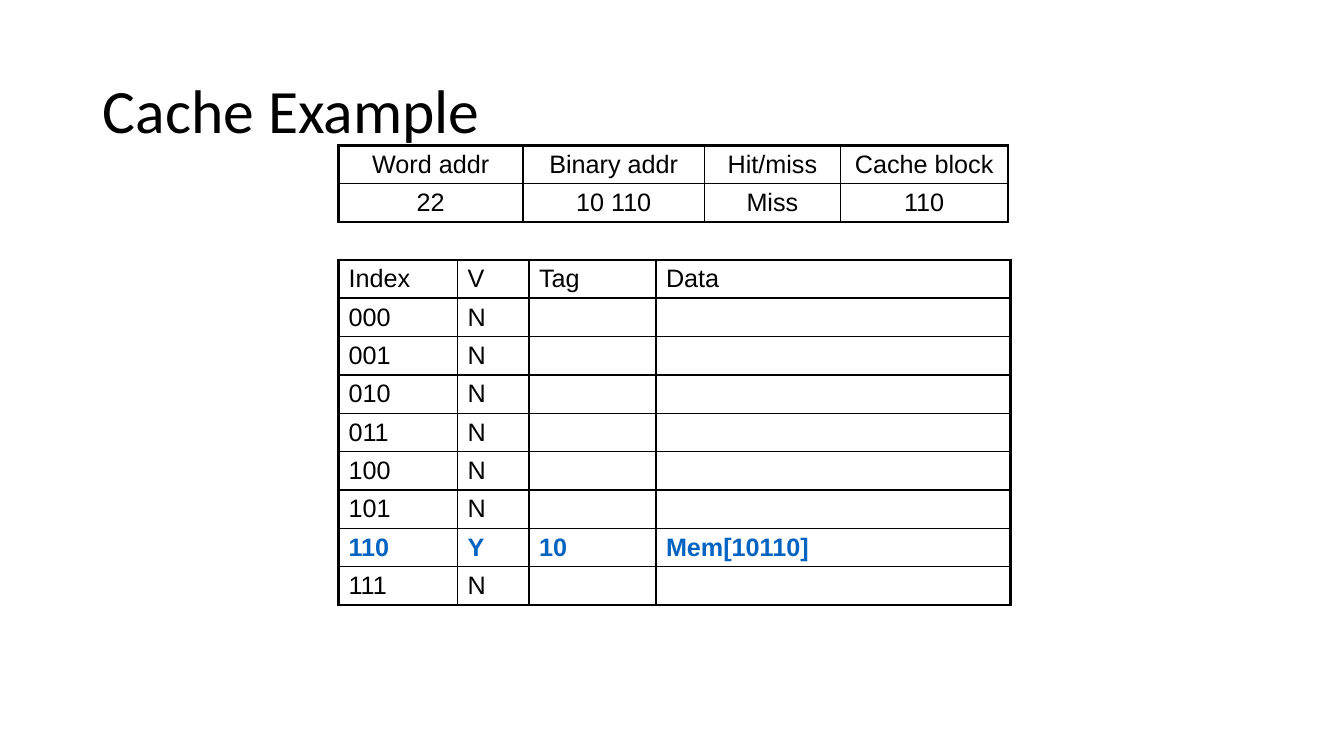
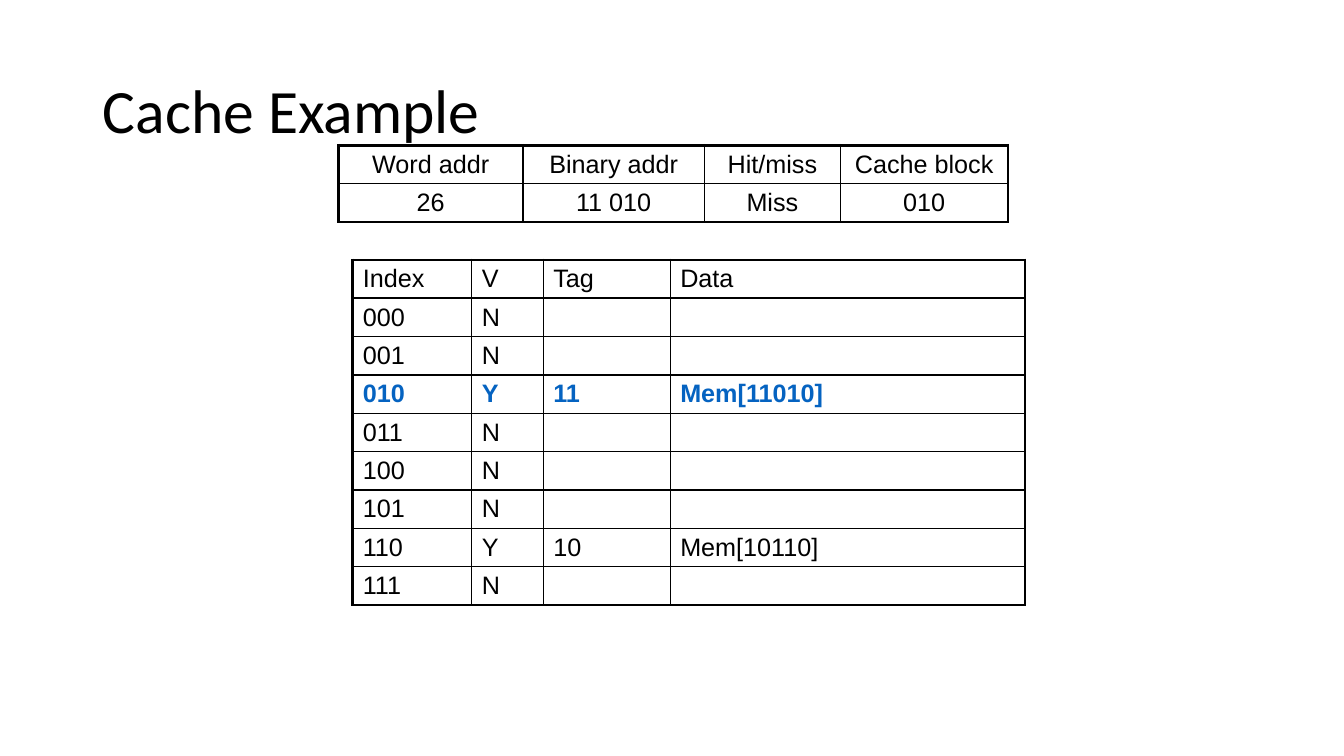
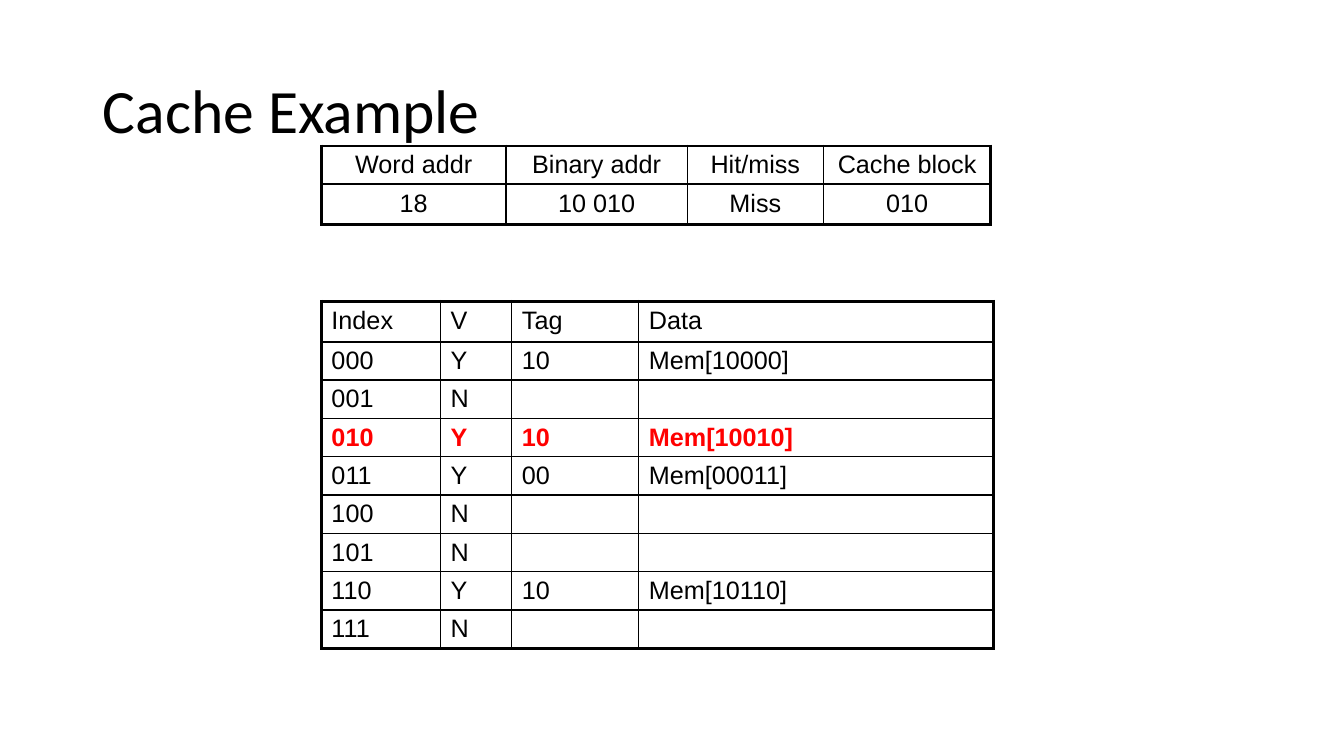
"""Three steps of a direct-mapped cache example."""
from dataclasses import dataclass

from lxml import etree
from pptx import Presentation
from pptx import util as u
from pptx.dml.color import RGBColor
from pptx.enum import text
from pptx.oxml import ns

BLACK = RGBColor(0x00, 0x00, 0x00)
BLUE = RGBColor(0x05, 0x63, 0xC1)
RED = RGBColor(0xFF, 0x00, 0x00)
TITLE_FONT, TABLE_FONT = "Calibri", "Arial"

OUTER, HEADER, INNER = u.Pt(2.25), u.Pt(1.5), u.Pt(1)
ROW_HEIGHT = 0.96
INDEX_BITS = 3
TAG_BITS = 2
ACCESS_HEADINGS = ["Word addr", "Binary addr", "Hit/miss", "Cache block"]
ACCESS_WIDTHS = [4.65, 4.57, 3.43, 4.22]
CACHE_HEADINGS = ["Index", "V", "Tag", "Data"]
CACHE_WIDTHS = [3.0, 1.8, 3.2, 8.94]


@dataclass(frozen=True)
class Grid:
    """A ruled table; lengths are in centimetres."""
    left: float
    top: float
    widths: list[float]
    heights: list[float]
    rows: list[list[str]]
    align: text.PP_ALIGN
    marked_row: int | None = None
    mark: RGBColor = BLACK


@dataclass(frozen=True)
class Step:
    """One memory access (a miss), the blocks then cached, and the layout."""
    address: str
    cached: list[str]
    mark: RGBColor
    access_at: tuple[float, float]
    cache_at: tuple[float, float]
    access_heights: tuple[float, float] = (ROW_HEIGHT, ROW_HEIGHT)
    cache_header_height: float = ROW_HEIGHT


STEPS = [
    Step("10110", ["10110"], BLUE, (8.53, 3.66), (8.53, 6.55)),
    Step("11010", ["11010", "10110"], BLUE, (8.53, 3.66), (8.89, 6.55)),
    Step("10010", ["10000", "10010", "00011", "10110"], RED,
         (8.1, 3.68), (8.1, 7.59), (ROW_HEIGHT, 1.02), 1.02),
]


def add_title(slide, title: str) -> None:
    """Place and format the title placeholder."""
    shape = slide.shapes.title
    shape.left, shape.top = u.Cm(2.34), u.Cm(1.02)
    shape.width, shape.height = u.Cm(29.21), u.Cm(3.68)
    frame = shape.text_frame
    frame.text = title
    frame.vertical_anchor = text.MSO_ANCHOR.MIDDLE
    paragraph = frame.paragraphs[0]
    paragraph.alignment = text.PP_ALIGN.LEFT
    paragraph.line_spacing = 0.9
    set_font(paragraph, TITLE_FONT, 44, BLACK)


def set_font(paragraph, name: str, size: float, color: RGBColor, bold: bool = False) -> None:
    """Format all the text of a paragraph."""
    font = paragraph.font
    font.name, font.size, font.bold = name, u.Pt(size), bold
    font.color.rgb = color


def set_borders(cell, left: int, right: int, top: int, bottom: int) -> None:
    """Rule the four sides of a cell in black."""
    properties = cell._tc.get_or_add_tcPr()
    for side, width in zip("LRTB", (left, right, top, bottom)):
        line = etree.SubElement(properties, ns.qn(f"a:ln{side}"), w=str(int(width)))
        fill = etree.SubElement(line, ns.qn("a:solidFill"))
        etree.SubElement(fill, ns.qn("a:srgbClr"), val=str(BLACK))


def add_grid(slide, grid: Grid) -> None:
    """Draw a table with a thick frame and a ruled-off heading row."""
    row_count, column_count = len(grid.rows), len(grid.widths)
    table = slide.shapes.add_table(
        row_count, column_count, u.Cm(grid.left), u.Cm(grid.top),
        u.Cm(sum(grid.widths)), u.Cm(sum(grid.heights))).table
    table.first_row = table.horz_banding = False
    for column, width in zip(table.columns, grid.widths):
        column.width = u.Cm(width)
    for row, height in zip(table.rows, grid.heights):
        row.height = u.Cm(height)

    row_rules = [OUTER, HEADER] + [INNER] * (row_count - 2) + [OUTER]
    column_rules = [OUTER] + [INNER] * (column_count - 1) + [OUTER]
    for i, values in enumerate(grid.rows):
        marked = i == grid.marked_row
        for j, value in enumerate(values):
            cell = table.cell(i, j)
            set_borders(cell, *column_rules[j:j + 2], *row_rules[i:i + 2])
            cell.fill.background()
            cell.text = value
            paragraph = cell.text_frame.paragraphs[0]
            paragraph.alignment = grid.align
            set_font(paragraph, TABLE_FONT, 18, grid.mark if marked else BLACK, marked)


def cache_grid(step: Step) -> Grid:
    """List every cache block, marking the one just loaded."""
    blocks = {address[TAG_BITS:]: address for address in step.cached}
    rows = [CACHE_HEADINGS]
    for number in range(2 ** INDEX_BITS):
        index = f"{number:0{INDEX_BITS}b}"
        address = blocks.get(index)
        rows.append([index, "Y", address[:TAG_BITS], f"Mem[{address}]"]
                    if address else [index, "N", "", ""])
    heights = [step.cache_header_height] + [ROW_HEIGHT] * 2 ** INDEX_BITS
    return Grid(*step.cache_at, CACHE_WIDTHS, heights, rows, text.PP_ALIGN.LEFT,
                int(step.address[TAG_BITS:], 2) + 1, step.mark)


def access_grid(step: Step) -> Grid:
    """Describe the memory access of a step."""
    tag, index = step.address[:TAG_BITS], step.address[TAG_BITS:]
    access = [str(int(step.address, 2)), f"{tag} {index}", "Miss", index]
    return Grid(*step.access_at, ACCESS_WIDTHS, list(step.access_heights),
                [ACCESS_HEADINGS, access], text.PP_ALIGN.CENTER)


def main() -> None:
    """Build the presentation, one slide per step."""
    presentation = Presentation()
    presentation.slide_width, presentation.slide_height = u.Cm(33.87), u.Cm(19.05)
    title_only = presentation.slide_layouts[5]
    for step in STEPS:
        slide = presentation.slides.add_slide(title_only)
        add_title(slide, "Cache Example")
        add_grid(slide, cache_grid(step))
        add_grid(slide, access_grid(step))
    presentation.save("out.pptx")


main()
